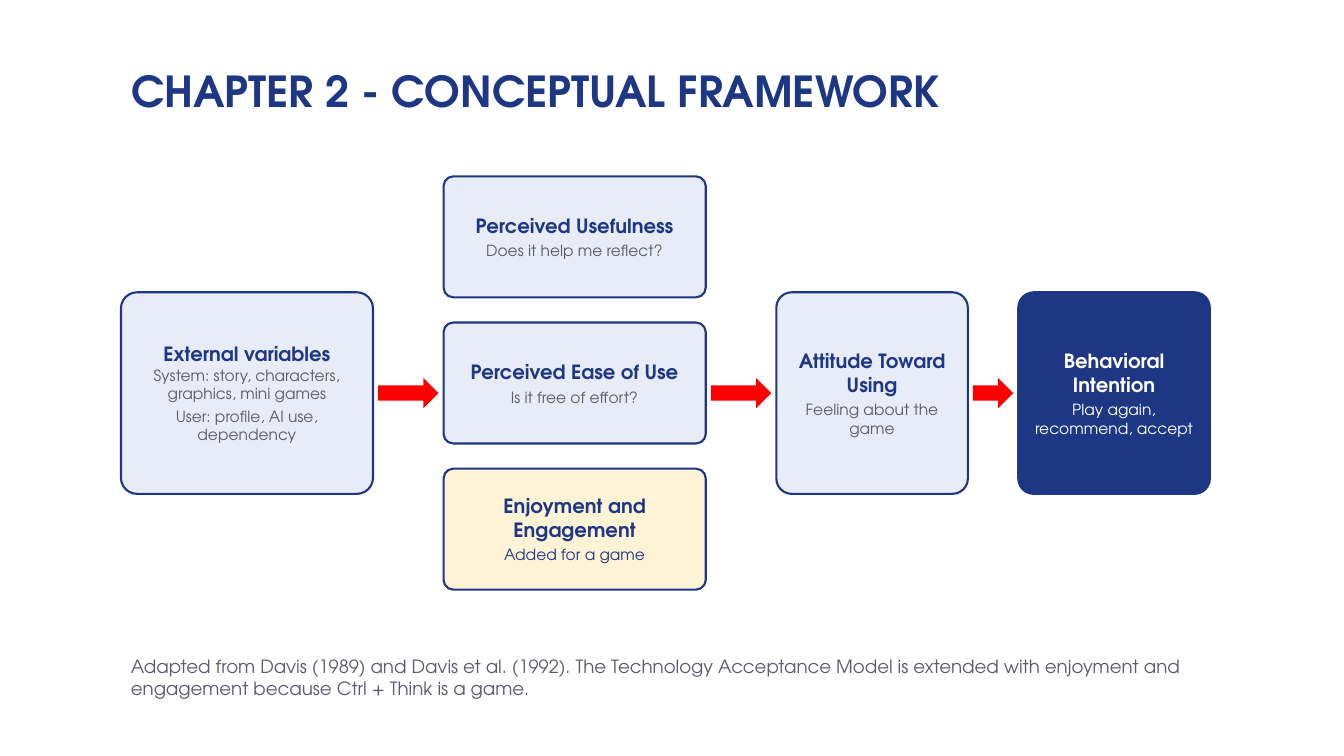
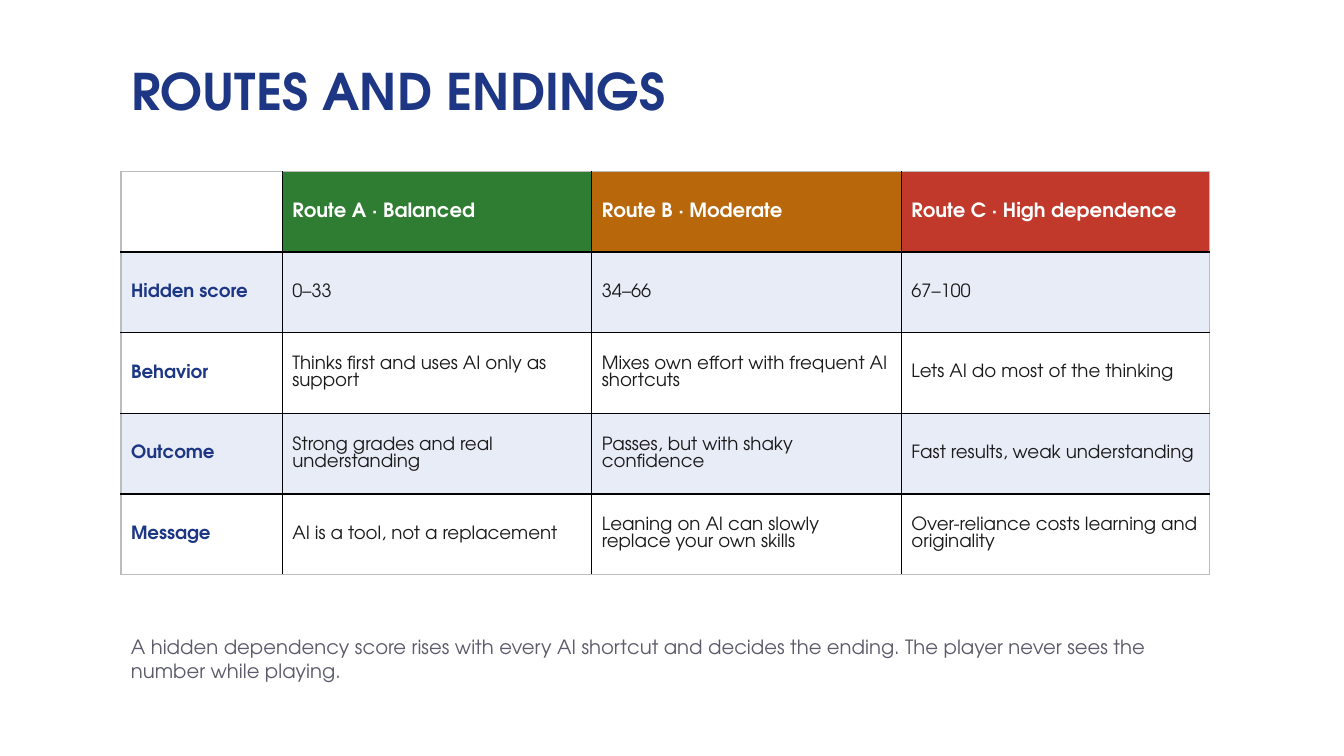
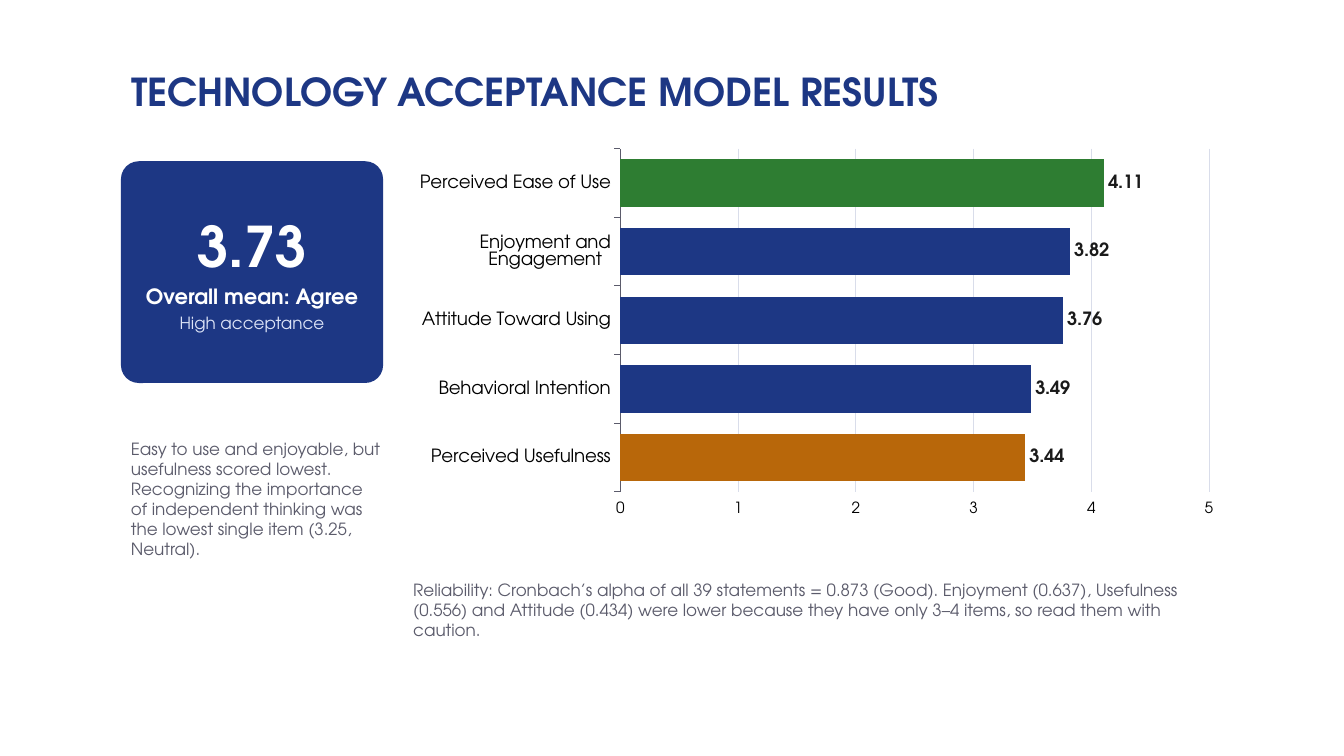
from pptx import Presentation
from pptx.chart.data import CategoryChartData
from pptx.dml.color import RGBColor
from pptx.enum.chart import XL_CHART_TYPE as ChartType, XL_LABEL_POSITION as LabelPos, XL_TICK_MARK as Tick
from pptx.enum.shapes import MSO_SHAPE as Shape
from pptx.enum.text import MSO_ANCHOR as Anchor, MSO_AUTO_SIZE as AutoSize, PP_ALIGN as Align
from pptx.oxml.ns import qn
from pptx.util import Inches, Pt


class Theme:
    font, chart_font = "TeX Gyre Adventor", "Calibri"
    navy = RGBColor.from_string("1D3784")
    pale = RGBColor.from_string("E8ECF7")
    cream = RGBColor.from_string("FFF3D6")
    ice = RGBColor.from_string("DDE4F7")
    white = RGBColor.from_string("FFFFFF")
    black = RGBColor.from_string("000000")
    ink = RGBColor.from_string("1A1A1A")
    grey = RGBColor.from_string("5B5B6B")
    grid = RGBColor.from_string("D9DDEA")
    green = RGBColor.from_string("2E7D32")
    amber = RGBColor.from_string("B8670A")
    brick = RGBColor.from_string("C0392B")
    red = RGBColor.from_string("FF0000")
    heading, table_text, detail = 14, 13, 11
    figure, verdict, small = 40, 15, 12
    left, width = 1.2, 10.8


TEXT_BOX = dict(word_wrap=True, auto_size=AutoSize.NONE)
TITLE = dict(TEXT_BOX, vertical_anchor=Anchor.MIDDLE)
CARD = dict(TITLE, margin_left=Inches(0.12), margin_right=Inches(0.12),
            margin_top=Inches(0.06), margin_bottom=Inches(0.06))
TABLE_GRID_STYLE = "{5940675A-B579-460E-94D1-54222C63F5DA}"


def write(frame, lines, layout, align=Align.LEFT):
    """Fill a text frame; each line is (text, size, colour, bold, space before)."""
    for name, value in layout.items():
        setattr(frame, name, value)
    for index, (text, size, color, bold, before) in enumerate(lines):
        paragraph = frame.add_paragraph() if index else frame.paragraphs[0]
        paragraph.alignment = align
        if before:
            paragraph.space_before = Pt(before)
        run = paragraph.add_run()
        run.text = text
        for name, value in dict(name=Theme.font, size=Pt(size), bold=bold).items():
            setattr(run.font, name, value)
        run.font.color.rgb = color


def add_block(slide, kind, box, fill, outline=None, lines=()):
    """Draw a filled shape, with text when lines are given."""
    block = slide.shapes.add_shape(kind, *map(Inches, box))
    block.shadow.inherit = False
    block.fill.solid()
    block.fill.fore_color.rgb = fill
    if outline:
        block.line.color.rgb = outline
        block.line.width = Pt(1.5)
    else:
        block.line.fill.background()
    if kind == Shape.ROUNDED_RECTANGLE:
        block.adjustments[0] = 0.08
    write(block.text_frame, lines, CARD, Align.CENTER)


prs = Presentation()
prs.slide_width, prs.slide_height = Inches(13.33), Inches(7.5)

# Titles and notes of all slides: note is (box, size, text)
pages = [
    ("CHAPTER 2 - CONCEPTUAL FRAMEWORK", 30.5, [
        ((Theme.left, 6.45, Theme.width, 0.6), 13,
         "Adapted from Davis (1989) and Davis et al. (1992). The Technology Acceptance Model is "
         "extended with enjoyment and engagement because Ctrl + Think is a game.")]),
    ("ROUTES AND ENDINGS", 36, [
        ((Theme.left, 6.25, Theme.width, 0.6), 14,
         "A hidden dependency score rises with every AI shortcut and decides the ending. "
         "The player never sees the number while playing.")]),
    ("TECHNOLOGY ACCEPTANCE MODEL RESULTS", 27.5, [
        ((Theme.left, 4.3, 2.7, 1.4), Theme.small,
         "Easy to use and enjoyable, but usefulness scored lowest. Recognizing the importance of "
         "independent thinking was the lowest single item (3.25, Neutral)."),
        ((4, 5.7, 8.2, 0.8), Theme.small,
         "Reliability: Cronbach’s alpha of all 39 statements = 0.873 (Good). Enjoyment (0.637), "
         "Usefulness (0.556) and Attitude (0.434) were lower because they have only 3–4 items, "
         "so read them with caution.")]),
]
slides = []
for heading, size, notes in pages:
    slide = prs.slides.add_slide(prs.slide_layouts[5])
    title = slide.shapes.title
    title.left, title.top, title.width, title.height = map(Inches, (Theme.left, 0.45, 10, 0.9))
    write(title.text_frame, [(heading, size, Theme.navy, True, 0)], TITLE)
    for box, note_size, text in notes:
        note = slide.shapes.add_textbox(*map(Inches, box))
        write(note.text_frame, [(text, note_size, Theme.grey, False, 0)], TEXT_BOX)
    slides.append(slide)
framework, routes, results = slides

# Framework: cards in four columns
row_top, row_height = 2.9, 2
factor_top, factor_height, factor_step = 1.75, 1.2, 1.45
columns = [(1.2, 2.5), (4.4, 2.6), (7.7, 1.9), (10.1, 1.9)]
factors = [
    ("Perceived Usefulness", "Does it help me reflect?", Theme.pale, Theme.grey),
    ("Perceived Ease of Use", "Is it free of effort?", Theme.pale, Theme.grey),
    ("Enjoyment and Engagement", "Added for a game", Theme.cream, Theme.navy),
]
cards = [(columns[1], factor_top + i * factor_step, factor_height, name, [(detail, 3)],
          fill, Theme.navy, detail_color)
         for i, (name, detail, fill, detail_color) in enumerate(factors)]
cards += [
    (columns[0], row_top, row_height, "External variables",
     [("System: story, characters, graphics, mini games", 0),
      ("User: profile, AI use, dependency", 3)], Theme.pale, Theme.navy, Theme.grey),
    (columns[2], row_top, row_height, "Attitude Toward Using",
     [("Feeling about the game", 3)], Theme.pale, Theme.navy, Theme.grey),
    (columns[3], row_top, row_height, "Behavioral Intention",
     [("Play again, recommend, accept", 3)], Theme.navy, Theme.white, Theme.white),
]
for (left, width), top, height, name, details, fill, name_color, detail_color in cards:
    lines = [(name, Theme.heading, name_color, True, 0)]
    lines += [(text, Theme.detail, detail_color, False, before) for text, before in details]
    add_block(framework, Shape.ROUNDED_RECTANGLE, (left, top, width, height), fill, Theme.navy, lines)

# Framework: an arrow in each gap between columns
arrow_margin, arrow_height = 0.05, 0.3
for (left, width), (next_left, _) in zip(columns, columns[1:]):
    start = left + width + arrow_margin
    add_block(framework, Shape.RIGHT_ARROW,
              (start, row_top + (row_height - arrow_height) / 2,
               next_left - arrow_margin - start, arrow_height), Theme.red)

# Routes: comparison table
route_rows = [
    ("", "Route A · Balanced", "Route B · Moderate", "Route C · High dependence"),
    ("Hidden score", "0–33", "34–66", "67–100"),
    ("Behavior", "Thinks first and uses AI only as support",
     "Mixes own effort with frequent AI shortcuts", "Lets AI do most of the thinking"),
    ("Outcome", "Strong grades and real understanding",
     "Passes, but with shaky confidence", "Fast results, weak understanding"),
    ("Message", "AI is a tool, not a replacement",
     "Leaning on AI can slowly replace your own skills",
     "Over-reliance costs learning and originality"),
]
header_fills = [Theme.white, Theme.green, Theme.amber, Theme.brick]
comparison = routes.shapes.add_table(
    len(route_rows), 4, *map(Inches, (Theme.left, 1.7, Theme.width, 4))).table
comparison.first_row = comparison.horz_banding = False
comparison._tbl.tblPr.find(qn("a:tableStyleId")).text = TABLE_GRID_STYLE
for column, width in zip(comparison.columns, (1.6, 3.07, 3.07, 3.06)):
    column.width = Inches(width)
for r, texts in enumerate(route_rows):
    for c, text in enumerate(texts):
        cell = comparison.cell(r, c)
        cell.vertical_anchor = Anchor.MIDDLE
        cell.fill.solid()
        if r == 0:
            fill, style = header_fills[c], (Theme.heading, Theme.white, True)
        else:
            fill = Theme.pale if r % 2 else Theme.white
            style = (Theme.table_text, Theme.ink if c else Theme.navy, c == 0)
        cell.fill.fore_color.rgb = fill
        if text:
            write(cell.text_frame, [(text, *style, 0)], {})

# Results: overall score card
add_block(results, Shape.ROUNDED_RECTANGLE, (Theme.left, 1.6, 2.6, 2.2), Theme.navy, lines=[
    ("3.73", Theme.figure, Theme.white, True, 0),
    ("Overall mean: Agree", Theme.verdict, Theme.white, True, 3),
    ("High acceptance", Theme.small, Theme.ice, False, 3)])

# Results: bar chart of the means
means = CategoryChartData()
means.categories = ["Perceived Usefulness", "Behavioral Intention", "Attitude Toward Using",
                    "Enjoyment and Engagement", "Perceived Ease of Use"]
means.add_series("Series 1", (3.44, 3.49, 3.76, 3.82, 4.11))
chart = results.shapes.add_chart(
    ChartType.BAR_CLUSTERED, *map(Inches, (4, 1.4, 8.2, 3.8)), means).chart
chart.has_legend = chart.has_title = False
plot = chart.plots[0]
plot.gap_width, plot.vary_by_categories, plot.has_data_labels = 45, False, True
bars = plot.series[0]
bars.format.fill.solid()
bars.format.fill.fore_color.rgb = Theme.navy
for index, color in {0: Theme.amber, 4: Theme.green}.items():
    point_fill = bars.points[index].format.fill
    point_fill.solid()
    point_fill.fore_color.rgb = color

constructs, scale, labels = chart.category_axis, chart.value_axis, plot.data_labels
for name, value in dict(show_value=True, position=LabelPos.OUTSIDE_END,
                        number_format="0.00", number_format_is_linked=False).items():
    setattr(labels, name, value)
for name, value in dict(minimum_scale=0, maximum_scale=5, major_unit=1,
                        has_major_gridlines=True, major_tick_mark=Tick.OUTSIDE).items():
    setattr(scale, name, value)
constructs.major_tick_mark = Tick.OUTSIDE
scale.format.line.fill.background()
for line, color in ((constructs.format.line, Theme.grey),
                    (scale.major_gridlines.format.line, Theme.grid)):
    line.color.rgb = color
    line.width = Pt(0.75)
for font, face, size, color, bold in (
        (chart.font, Theme.chart_font, 18, Theme.black, False),
        (constructs.tick_labels.font, Theme.font, 13, Theme.black, False),
        (scale.tick_labels.font, Theme.font, 11, Theme.black, False),
        (labels.font, Theme.font, 13, Theme.ink, True)):
    for name, value in dict(name=face, size=Pt(size), bold=bold).items():
        setattr(font, name, value)
    font.color.rgb = color

prs.save("out.pptx")
